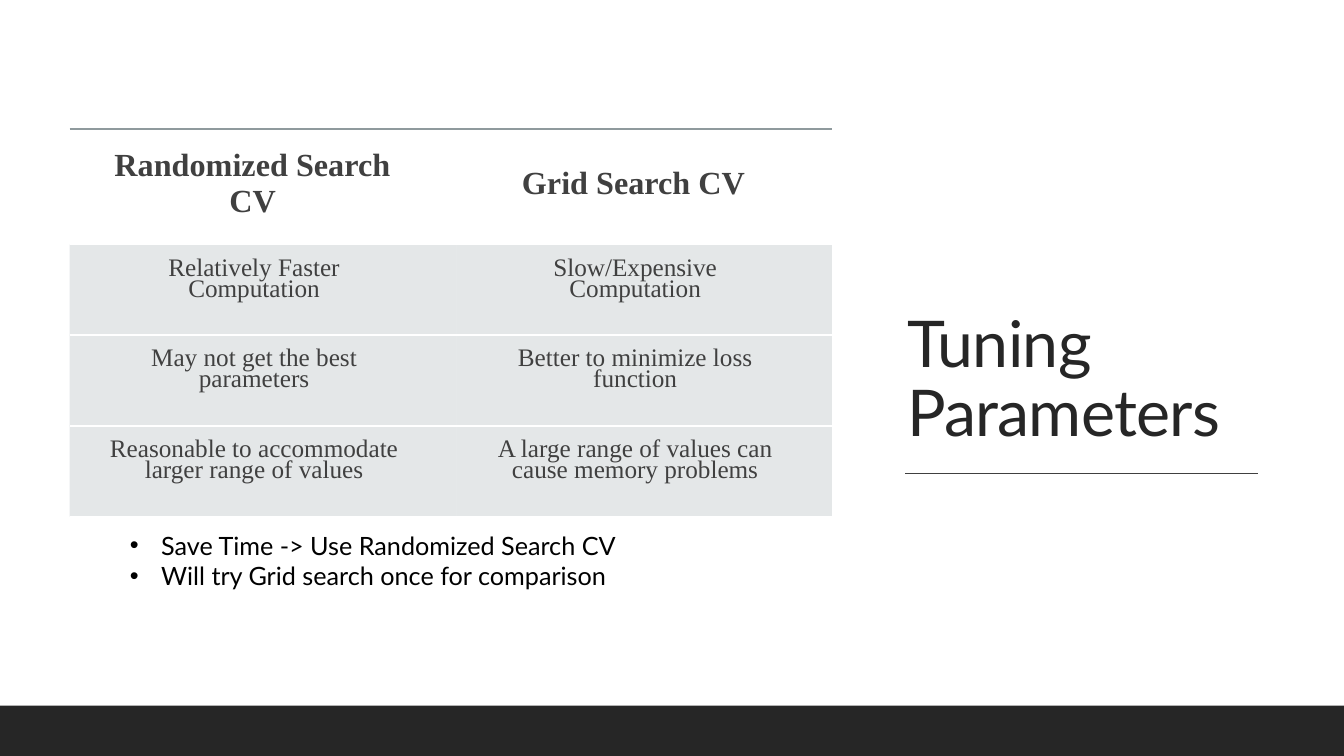
from lxml import etree
from pptx import Presentation
from pptx.dml.color import RGBColor
from pptx.enum import shapes, text
from pptx.oxml.ns import qn
from pptx.util import Inches, Pt

WHITE = RGBColor(0xFF, 0xFF, 0xFF)
BLACK = RGBColor(0, 0, 0)
DARK = RGBColor(0x26, 0x26, 0x26)
GREY = RGBColor(0x40, 0x40, 0x40)
HEADER_LINE = RGBColor(0x8F, 0x9A, 0x9D)
CELL_FILL = RGBColor(0xB4, 0xBC, 0xBE)


def add_color(parent, color, alpha=100):
    """Append a solid fill, with its opacity in percent, to an XML element."""
    fill = etree.SubElement(parent, qn("a:solidFill"))
    srgb = etree.SubElement(fill, qn("a:srgbClr"), val=str(color))
    if alpha < 100:
        etree.SubElement(srgb, qn("a:alpha"), val=str(alpha * 1000))


def add_run(p, words, **font):
    r = p.add_run()
    r.text = words
    r.font.color.rgb = font.pop("color")
    for name, value in font.items():
        setattr(r.font, name, value)
    return r


prs = Presentation()
prs.slide_width, prs.slide_height = Inches(13.33), Inches(7.5)
s = prs.slides.add_slide(prs.slide_layouts[6])

# Backdrop and footer band
for top, height, color in [(0, 7.5, WHITE), (7, 0.5, DARK)]:
    sp = s.shapes.add_shape(shapes.MSO_SHAPE.RECTANGLE, 0, Inches(top),
                            prs.slide_width, Inches(height))
    sp.shadow.inherit = False
    sp.fill.solid()
    sp.fill.fore_color.rgb = color
    sp.line.fill.background()

# Title and the rule below it
title = s.shapes.add_textbox(Inches(8.9), Inches(0.7), Inches(3.72), Inches(3.82))
tf = title.text_frame
tf.word_wrap = True
tf.vertical_anchor = text.MSO_ANCHOR.BOTTOM
p = tf.paragraphs[0]
p.line_spacing = 0.9
r = add_run(p, "Tuning Parameters", name="Lato", size=Pt(46), color=DARK)
r.font._element.set("spc", "-50")

rule = s.shapes.add_connector(shapes.MSO_CONNECTOR.STRAIGHT, Inches(8.98), Inches(4.7),
                              Inches(12.48), Inches(4.7))
rule.line.color.rgb = GREY
rule.line.width = Pt(1)
etree.SubElement(rule._element.spPr, qn("a:effectLst"))

# Comparison table
ROWS = [
    ("Randomized Search CV", "Grid Search CV"),
    ("Relatively Faster Computation", "Slow/Expensive Computation"),
    ("May not get the best parameters", "Better to minimize loss function"),
    ("Reasonable to accommodate larger range of values",
     "A large range of values can cause memory problems"),
]
table = s.shapes.add_table(4, 2, Inches(0.69), Inches(1.28),
                           Inches(7.56), Inches(3.66)).table
table.first_row = table.horz_banding = False
for column, width in zip(table.columns, (3.84, 3.72)):
    column.width = Inches(width)

for i, labels in enumerate(ROWS):
    header = i == 0
    table.rows[i].height = Inches(0.96 if header else 0.9)
    margin = Inches(0.19 if header else 0.16)
    for j, label in enumerate(labels):
        cell = table.cell(i, j)
        cell.margin_left = Inches(0.31)
        cell.margin_right = margin + Inches(0.33)
        cell.margin_top = cell.margin_bottom = margin
        p = cell.text_frame.paragraphs[0]
        p.alignment = text.PP_ALIGN.CENTER
        if not header:
            p.line_spacing = Pt(15)
        elif j == 1:
            p.line_spacing = 1.5
        add_run(p, label, name="Times New Roman", size=Pt(23 if header else 18),
                bold=header, color=GREY)

        tcPr = cell._tc.get_or_add_tcPr()
        for side in ("lnL", "lnR", "lnT", "lnB"):
            if side in ("lnL", "lnR"):
                ln = etree.SubElement(tcPr, qn(f"a:{side}"), w="0")
                etree.SubElement(ln, qn("a:noFill"))
                continue
            ln = etree.SubElement(tcPr, qn(f"a:{side}"), w=str(Pt(1.5)))
            if header and side == "lnT":
                add_color(ln, HEADER_LINE, 60)
            else:
                add_color(ln, WHITE)
        if header:
            cell.fill.background()
        else:
            add_color(tcPr, CELL_FILL, 35)

# Conclusions
notes = s.shapes.add_textbox(Inches(0.69), Inches(5.21), Inches(8.78), Inches(1.01))
tf = notes.text_frame
tf.word_wrap = True
for i, line in enumerate(["Save Time -> Use Randomized Search CV",
                          "Will try Grid search once for comparison"]):
    p = tf.add_paragraph() if i else tf.paragraphs[0]
    p.level = 1
    pPr = p._p.get_or_add_pPr()
    pPr.set("marL", str(Inches(0.81)))
    pPr.set("indent", str(Inches(-0.31)))
    etree.SubElement(pPr, qn("a:buFont"), typeface="Arial")
    etree.SubElement(pPr, qn("a:buChar"), char="•")
    add_run(p, line, name="Lato", size=Pt(18), color=BLACK)

prs.save("out.pptx")
